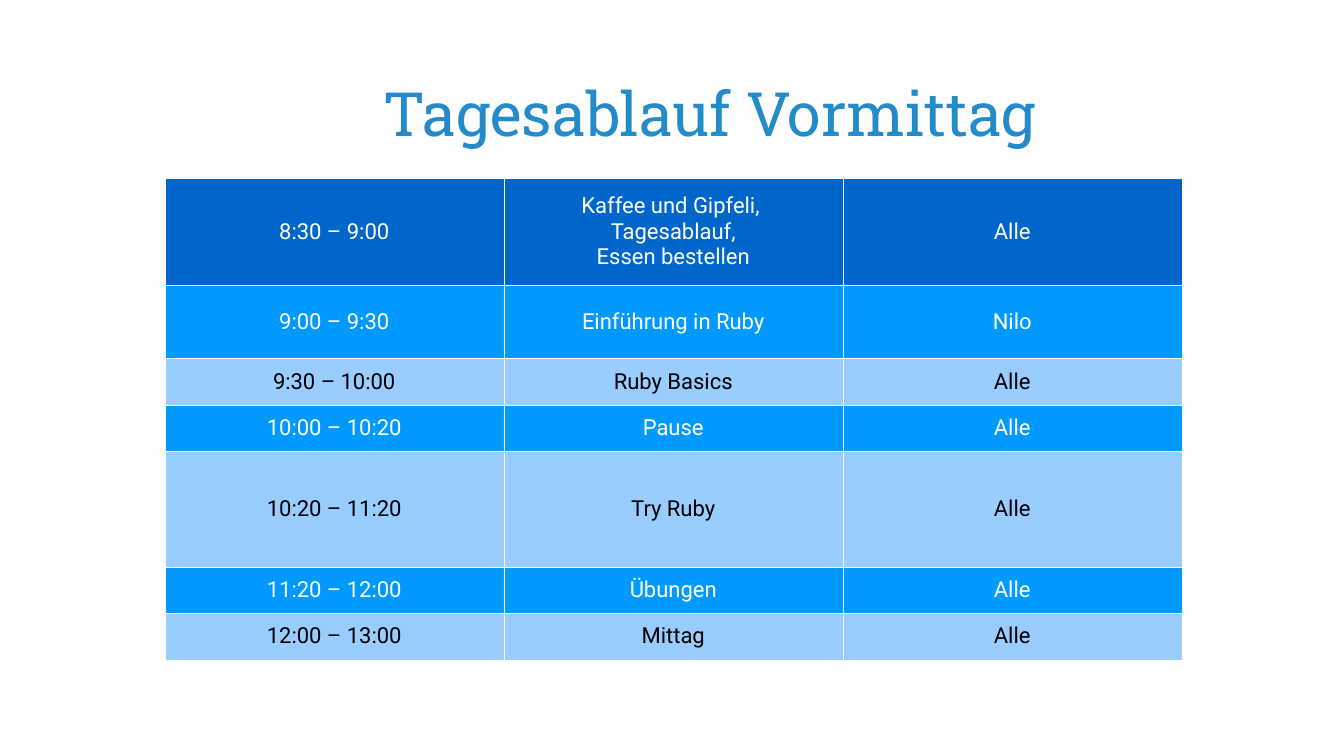
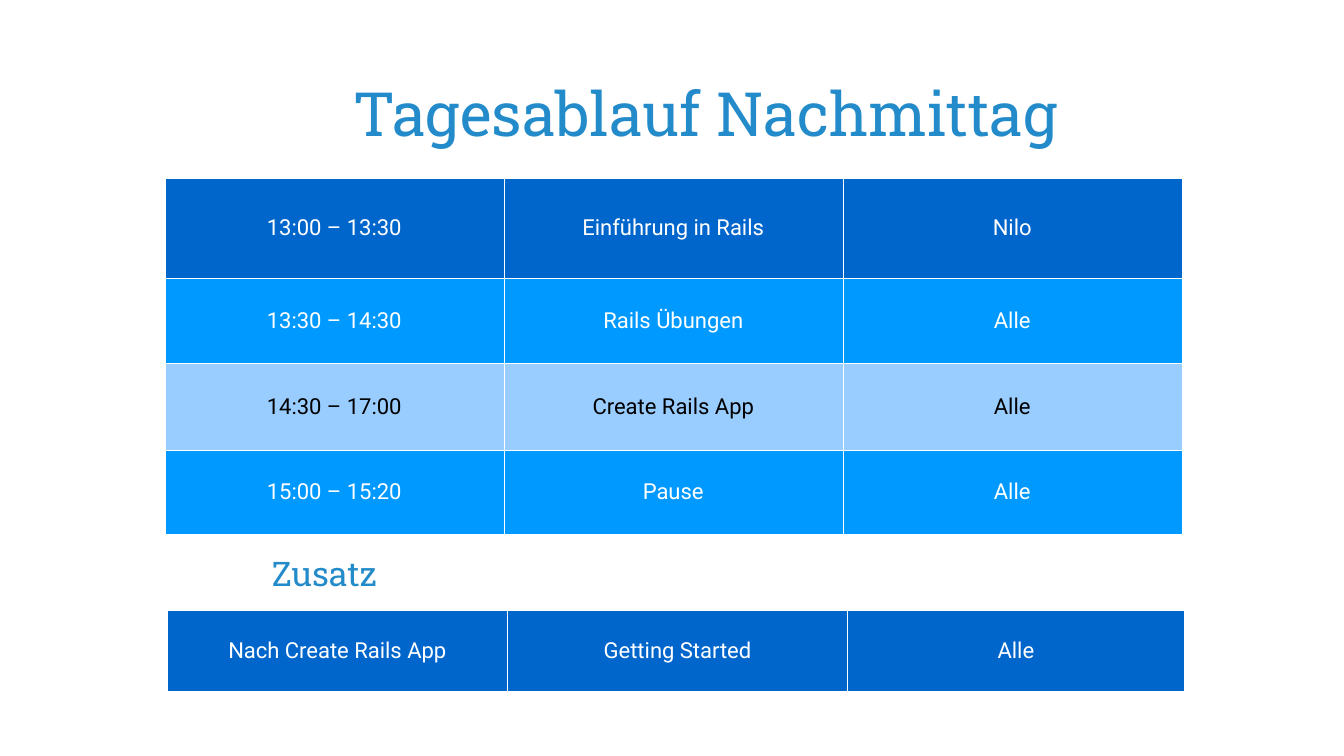
from lxml import etree
from pptx import Presentation
from pptx.dml.color import RGBColor
from pptx.enum.text import MSO_ANCHOR, MSO_AUTO_SIZE, PP_ALIGN
from pptx.oxml.ns import qn
from pptx.util import Inches, Pt

WHITE = RGBColor(0xFF, 0xFF, 0xFF)
BLACK = RGBColor(0x00, 0x00, 0x00)
TITLE_BLUE = RGBColor(0x23, 0x8B, 0xCA)
DARK_BLUE = RGBColor(0x00, 0x66, 0xCC)
MID_BLUE = RGBColor(0x00, 0x99, 0xFF)
LIGHT_BLUE = RGBColor(0x99, 0xCC, 0xFF)

CENTER = PP_ALIGN.CENTER
MIDDLE = MSO_ANCHOR.MIDDLE
BOTTOM = MSO_ANCHOR.BOTTOM
NO_FIT = MSO_AUTO_SIZE.NONE
GROW = MSO_AUTO_SIZE.SHAPE_TO_FIT_TEXT

HEADING_FONT, BODY_FONT = "Roboto Slab", "Roboto"
TITLE_ONLY = 5
SLIDE_W, SLIDE_H = 11.02, 6.2
TITLE_TOP, TITLE_H = 0.43, 0.79
TABLE_LEFT, TABLE_TOP = 1.35, 1.46
COLUMNS = [2.78] * 3
ROW = 0.38
BORDER = Pt(0.06)

MORNING = [
    ("8:30 – 9:00", "Kaffee und Gipfeli, \nTagesablauf,\nEssen bestellen", "Alle"),
    ("9:00 – 9:30", "Einführung in Ruby", "Nilo"),
    ("9:30 – 10:00", "Ruby Basics", "Alle"),
    ("10:00 – 10:20", "Pause", "Alle"),
    ("10:20 – 11:20", "Try Ruby", "Alle"),
    ("11:20 – 12:00", "Übungen", "Alle"),
    ("12:00 – 13:00", "Mittag", "Alle"),
]
AFTERNOON = [
    ("13:00 – 13:30", "Einführung in Rails", "Nilo"),
    ("13:30 – 14:30", "Rails Übungen", "Alle"),
    ("14:30 – 17:00", "Create Rails App", "Alle"),
    ("15:00 – 15:20", "Pause", "Alle"),
]
EXTRA = [("Nach Create Rails App", "Getting Started", "Alle")]


def style_text(tf, font, size, color):
    """Centre every paragraph and give it one font."""
    for p in tf.paragraphs:
        p.alignment = CENTER
        p.font.name = font
        p.font.size = Pt(size)
        p.font.color.rgb = color
        p.font.bold = False


def set_heading(sp, text, size, inset, fit):
    """Write a heading into a shape."""
    tf = sp.text_frame
    tf.text = text
    tf.word_wrap = True
    tf.auto_size = fit
    tf.margin_left = tf.margin_right = Inches(inset)
    tf.margin_top = tf.margin_bottom = 0
    style_text(tf, HEADING_FONT, size, TITLE_BLUE)


def add_titled_slide(prs, title, left, width):
    """Add a slide with its title placed and formatted."""
    slide = prs.slides.add_slide(prs.slide_layouts[TITLE_ONLY])
    sp = slide.shapes.title
    sp.left, sp.top = Inches(left), Inches(TITLE_TOP)
    sp.width, sp.height = Inches(width), Inches(TITLE_H)
    set_heading(sp, title, 36, 0, NO_FIT)
    sp.text_frame.vertical_anchor = BOTTOM
    return slide


def add_borders(cell):
    """Draw a white hairline on each side of a cell."""
    tc_pr = cell._tc.get_or_add_tcPr()
    for side in ("lnL", "lnR", "lnT", "lnB"):
        ln = etree.SubElement(tc_pr, qn(f"a:{side}"), w=str(BORDER))
        fill = etree.SubElement(ln, qn("a:solidFill"))
        etree.SubElement(fill, qn("a:srgbClr"), val=str(WHITE))


def row_colors(row):
    """Return the fill and text colour of a table row."""
    if row == 0:
        return DARK_BLUE, WHITE
    return (MID_BLUE, WHITE) if row % 2 else (LIGHT_BLUE, BLACK)


def add_schedule(slide, rows, heights, left=TABLE_LEFT, top=TABLE_TOP, widths=COLUMNS):
    """Add a schedule table with a dark first row and alternating bands."""
    table = slide.shapes.add_table(
        len(rows), len(widths), Inches(left), Inches(top),
        Inches(sum(widths)), Inches(sum(heights))).table
    table.first_row = table.horz_banding = False
    for column, width in zip(table.columns, widths):
        column.width = Inches(width)
    for i, (texts, height) in enumerate(zip(rows, heights)):
        table.rows[i].height = Inches(height)
        fill, color = row_colors(i)
        for cell, text in zip(table.rows[i].cells, texts):
            cell.text = text
            cell.vertical_anchor = MIDDLE
            add_borders(cell)
            cell.fill.solid()
            cell.fill.fore_color.rgb = fill
            style_text(cell.text_frame, BODY_FONT, 13, color)


def main():
    """Build and save the two schedule slides."""
    prs = Presentation()
    prs.slide_width, prs.slide_height = Inches(SLIDE_W), Inches(SLIDE_H)

    slide = add_titled_slide(prs, "Tagesablauf Vormittag", 3.11, 5.43)
    add_schedule(slide, MORNING, [0.88, 0.6, ROW, ROW, 2.5 * ROW, ROW, ROW])

    slide = add_titled_slide(prs, "Tagesablauf Nachmittag", 2.8, 5.98)
    add_schedule(slide, AFTERNOON, [0.82, 0.7, 0.71, 0.69])
    sp = slide.shapes.add_textbox(Inches(2.05), Inches(4.53), Inches(1.22), Inches(0.37))
    set_heading(sp, "Zusatz", 20, 0.04, GROW)
    add_schedule(slide, EXTRA, [0.67], 1.37, 5, [2.79, 2.79, 2.76])

    prs.save("out.pptx")


if __name__ == "__main__":
    main()
